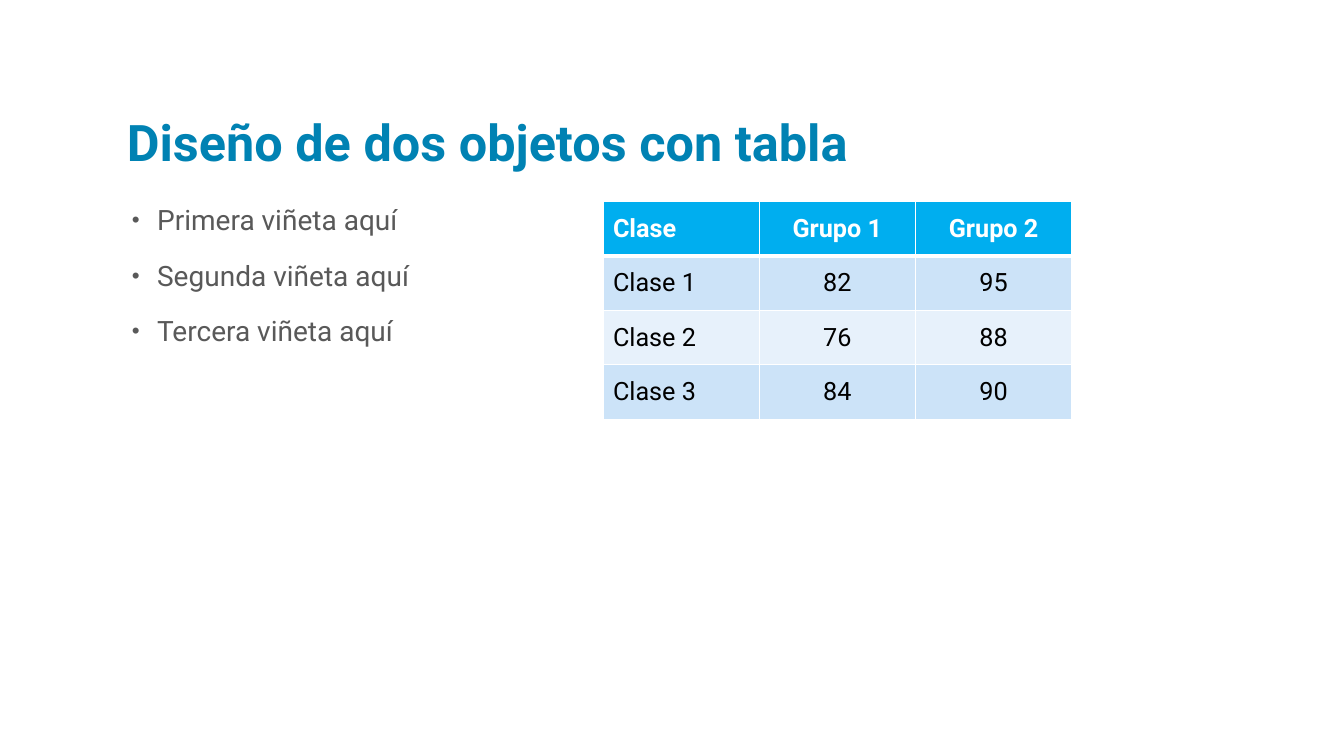
from lxml import etree
from pptx import Presentation
from pptx import util as u
from pptx.dml.color import RGBColor
from pptx.enum import text
from pptx.oxml import ns

TITLE_BLUE = RGBColor(0x00, 0x82, 0xB3)
HEADER_BLUE = RGBColor(0x00, 0xAE, 0xEF)
BAND_DARK = RGBColor(0xCC, 0xE3, 0xF8)
BAND_LIGHT = RGBColor(0xE7, 0xF1, 0xFB)
GRAY = RGBColor(0x59, 0x59, 0x59)
WHITE = RGBColor(0xFF, 0xFF, 0xFF)
BLACK = RGBColor(0x00, 0x00, 0x00)

LEFT = u.Inches(1.16)
TOP = u.Inches(2)
COLUMN = u.Inches(1.55)
ROW = u.Inches(0.54)
HALF = 3 * COLUMN
TABLE_LEFT = u.Inches(5.98)


def set_font(para, size, color, bold=False):
    para.font.name = "Roboto"
    para.font.size = u.Pt(size)
    para.font.color.rgb = color
    para.font.bold = bold


def add_child(parent, tag, **attributes):
    return etree.SubElement(parent, ns.qn(tag), **attributes)


deck = Presentation()
deck.slide_width = u.Inches(13.33)
deck.slide_height = u.Inches(7.5)
page = deck.slides.add_slide(deck.slide_layouts[6])

title = page.shapes.add_textbox(LEFT, u.Inches(0.58), u.Inches(9.5), u.Inches(1.17)).text_frame
title.word_wrap = True
title.vertical_anchor = text.MSO_ANCHOR.BOTTOM
para = title.paragraphs[0]
para.text = "Diseño de dos objetos con tabla"
para.line_spacing = 0.8
set_font(para, 36, TITLE_BLUE, True)

body = page.shapes.add_textbox(LEFT, TOP, HALF, u.Inches(4.58)).text_frame
body.word_wrap = True
for index, ordinal in enumerate(["Primera", "Segunda", "Tercera"]):
    para = body.add_paragraph() if index else body.paragraphs[0]
    para.text = f"{ordinal} viñeta aquí"
    para.line_spacing = 0.9
    if index:
        para.space_before = u.Pt(18)
    properties = para._p.get_or_add_pPr()
    properties.set("marL", str(u.Inches(0.3)))
    properties.set("indent", str(-u.Inches(0.25)))
    add_child(add_child(properties, "a:buClr"), "a:srgbClr", val=str(GRAY))
    add_child(properties, "a:buSzPct", val="80000")
    add_child(properties, "a:buFont", typeface="Arial")
    add_child(properties, "a:buChar", char="•")
    set_font(para, 20, GRAY)

rows = [
    ("Clase", "Grupo 1", "Grupo 2"),
    ("Clase 1", 82, 95),
    ("Clase 2", 76, 88),
    ("Clase 3", 84, 90),
]
table = page.shapes.add_table(len(rows), 3, TABLE_LEFT, TOP, HALF, len(rows) * ROW).table
for column in table.columns:
    column.width = COLUMN
for row_index, values in enumerate(rows):
    table.rows[row_index].height = ROW
    header = row_index == 0
    band = HEADER_BLUE if header else BAND_DARK if row_index % 2 else BAND_LIGHT
    thick_side = {0: "a:lnB", 1: "a:lnT"}.get(row_index)
    for column_index, value in enumerate(values):
        cell = table.cell(row_index, column_index)
        for side in ("a:lnL", "a:lnR", "a:lnT", "a:lnB"):
            width = u.Pt(3 if side == thick_side else 0.96)
            border = add_child(cell._tc.get_or_add_tcPr(), side, w=str(width))
            add_child(add_child(border, "a:solidFill"), "a:srgbClr", val=str(WHITE))
        cell.fill.solid()
        cell.fill.fore_color.rgb = band
        cell.vertical_anchor = text.MSO_ANCHOR.MIDDLE
        para = cell.text_frame.paragraphs[0]
        para.text = str(value)
        para.alignment = text.PP_ALIGN.CENTER if column_index else text.PP_ALIGN.LEFT
        set_font(para, 18, WHITE if header else BLACK, header)

deck.save("out.pptx")
